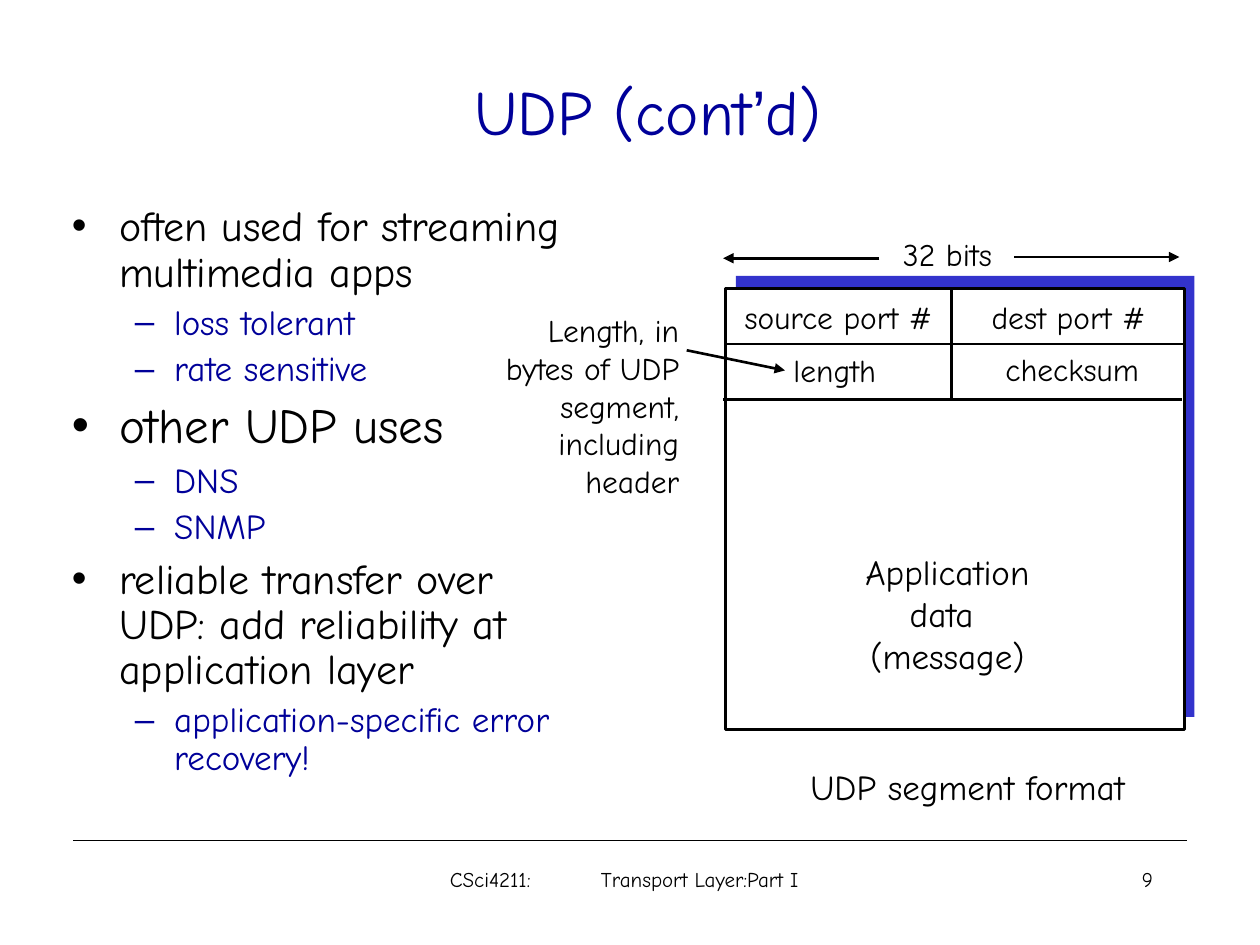
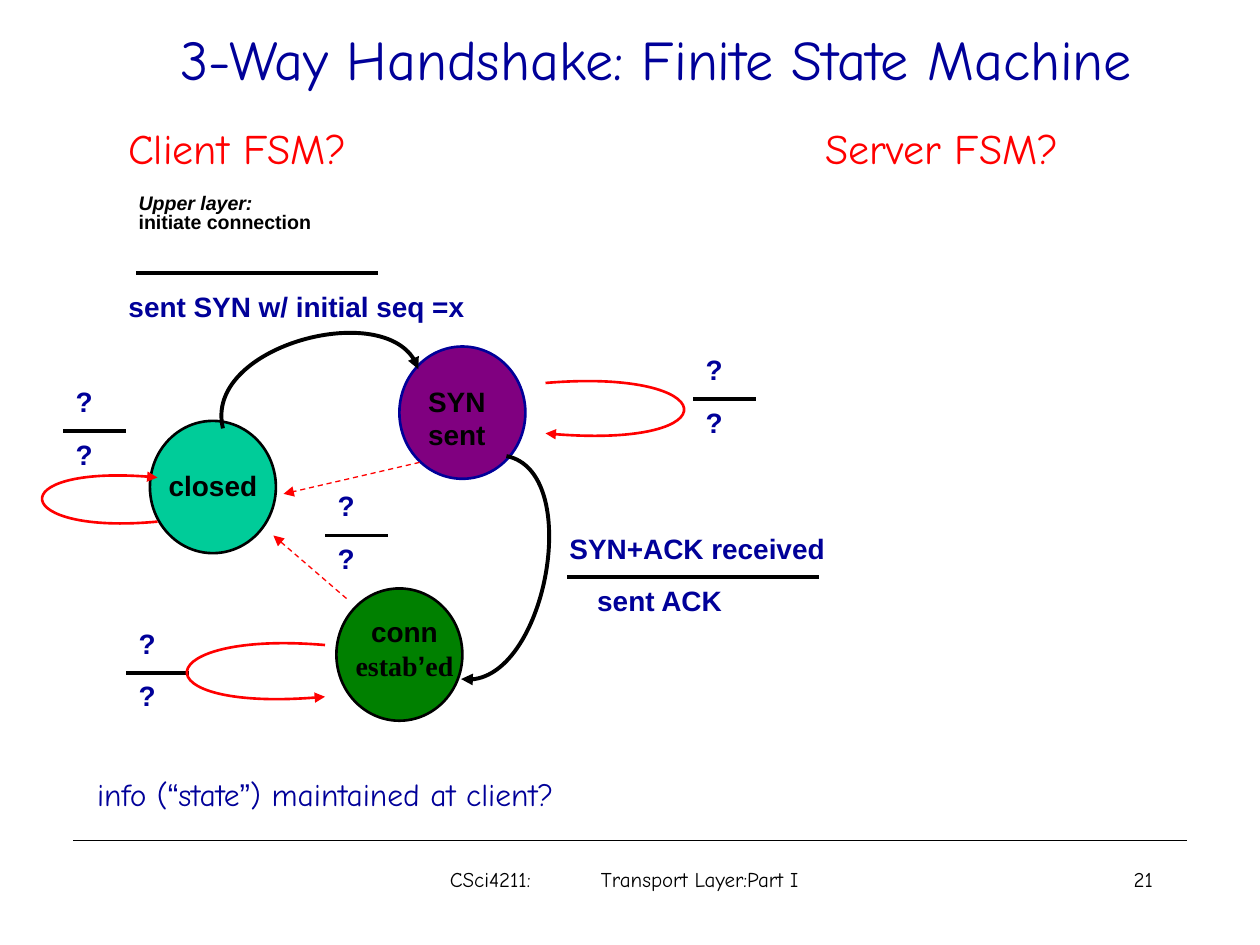
import itertools
import lxml.etree
import pptx
import pptx.dml.color
import pptx.enum.dml
import pptx.enum.shapes
import pptx.enum.text
import pptx.oxml.ns
import pptx.util

Inches = pptx.util.Inches
qn = pptx.oxml.ns.qn
LEFT = pptx.enum.text.PP_ALIGN.LEFT
CENTER = pptx.enum.text.PP_ALIGN.CENTER
RIGHT = pptx.enum.text.PP_ALIGN.RIGHT
OVAL = pptx.enum.shapes.MSO_SHAPE.OVAL
RECTANGLE = pptx.enum.shapes.MSO_SHAPE.RECTANGLE
STRAIGHT = pptx.enum.shapes.MSO_CONNECTOR.STRAIGHT
BLACK, NAVY, RED, WHITE = "000000", "000099", "FF0000", "FFFFFF"
QUOTES = "\u2018\u2019\u201c\u201d"


def color(value):
    return pptx.dml.color.RGBColor.from_string(value)


def write(frame, text, size=18, ink=BLACK, font="Comic Neue", align=LEFT, bold=False,
          italic=False, level=0, before=0, spacing=1.0):
    for line in text.split("\n"):
        paragraph = frame.add_paragraph() if frame.text else frame.paragraphs[0]
        paragraph.alignment = align
        paragraph.level = level
        paragraph.space_before = pptx.util.Pt(before)
        paragraph.line_spacing = spacing
        for is_quote, letters in itertools.groupby(line, lambda letter: letter in QUOTES):
            run = paragraph.add_run()
            run.text = "".join(letters)
            run.font.name = "Arial" if is_quote else font
            run.font.size = pptx.util.Pt(size)
            run.font.bold = bold
            run.font.italic = italic
            run.font.color.rgb = color(ink)


presentation = pptx.Presentation()
presentation.slide_width = Inches(10)
presentation.slide_height = Inches(7.5)
segment_slide = presentation.slides.add_slide(presentation.slide_layouts[1])
state_slide = presentation.slides.add_slide(presentation.slide_layouts[5])

texts = []
lines = []
for slide, title, size, number, box in [
    (segment_slide, "UDP (cont\u2019d)", 36, "9", (0.58, 0.25, 9.12, 1.25)),
    (state_slide, "3-Way Handshake: Finite State Machine", 32, "21", (0.67, 0, 9.08, 0.92)),
]:
    shape = slide.shapes.title
    shape.left, shape.top, shape.width, shape.height = map(Inches, box)
    write(shape.text_frame, title, size=size, ink=NAVY, align=CENTER)
    lines.append((slide, 0.58, 6.67, 9.42, 6.67, BLACK, 0.75, False))
    texts += [
        (slide, 3.57, 6.83, 1.1, "CSci4211:", dict(size=12)),
        (slide, 4.77, 6.83, 1.9, "Transport Layer:Part I", dict(size=12)),
        (slide, 7.17, 6.83, 1.98, number, dict(size=12, align=RIGHT)),
    ]

body = segment_slide.placeholders[1]
body.left, body.top, body.width, body.height = map(Inches, (0.47, 1.58, 4.17, 5.08))
body.text_frame.auto_size = pptx.enum.text.MSO_AUTO_SIZE.NONE
for level, size, text in [
    (0, 24, "often used for streaming multimedia apps"),
    (1, 20, "loss tolerant"),
    (1, 20, "rate sensitive"),
    (0, 28, "other UDP uses"),
    (1, 20, "DNS"),
    (1, 20, "SNMP"),
    (0, 24, "reliable transfer over UDP: add reliability at application layer"),
    (1, 20, "application-specific error recovery!"),
]:
    write(body.text_frame, text, size=size, level=level, ink=NAVY if level else BLACK,
          before=size / 4, spacing=0.9)

for slide, kind, left, top, width, height, fill, outline in [
    (segment_slide, RECTANGLE, 5.84, 2.19, 3.64, 3.5, "3333CC", None),
    (segment_slide, RECTANGLE, 5.76, 2.29, 3.64, 3.5, WHITE, BLACK),
    (state_slide, OVAL, 1.19, 3.34, 1, 1.05, "00CC99", BLACK),
    (state_slide, OVAL, 3.17, 2.75, 1, 1.05, "800080", NAVY),
    (state_slide, OVAL, 2.67, 4.67, 1, 1.05, "008000", BLACK),
]:
    shape = slide.shapes.add_shape(kind, *map(Inches, (left, top, width, height)))
    shape.shadow.inherit = False
    shape.fill.solid()
    shape.fill.fore_color.rgb = color(fill)
    if outline:
        shape.line.color.rgb = color(outline)
        shape.line.width = pptx.util.Pt(1.5)
    else:
        shape.line.fill.background()

centered = dict(align=CENTER)
heading = dict(size=24, ink=RED, align=CENTER)
event = dict(size=16, ink=NAVY, font="Arial", bold=True)
state = dict(size=16, font="Arial", bold=True, align=CENTER)
texts += [
    (segment_slide, 5.81, 2.32, 1.69, "source port #", centered),
    (segment_slide, 7.77, 2.32, 1.42, "dest port #", centered),
    (segment_slide, 6.2, 2.74, 0.85, "length", centered),
    (segment_slide, 7.88, 2.73, 1.26, "checksum", centered),
    (segment_slide, 7.07, 1.82, 0.9, "32 bits", centered),
    (segment_slide, 6.77, 4.32, 1.5, "Application\ndata \n(message)", dict(size=20, align=CENTER)),
    (segment_slide, 6.33, 6.03, 2.7, "UDP segment format", dict(size=20, align=CENTER)),
    (segment_slide, 3.91, 2.42, 1.48, "Length, in\nbytes of UDP\nsegment,\nincluding\nheader",
     dict(align=RIGHT)),
    (state_slide, 0.92, 0.92, 1.93, "Client FSM?", heading),
    (state_slide, 6.45, 0.92, 2.05, "Server FSM?", heading),
    (state_slide, 0.77, 6.1, 4.88, "info (\u201cstate\u201d) maintained at client?", dict(ink=NAVY)),
    (state_slide, 1.02, 2.25, 2.9, "sent SYN w/ initial seq =x", event),
    (state_slide, 4.52, 4.17, 2.3, "SYN+ACK received", event),
    (state_slide, 4.74, 4.58, 1.3, "sent ACK", event),
    (state_slide, 1.08, 3.67, 1.22, "closed", state),
    (state_slide, 3.08, 3, 1.09, "SYN\nsent", state),
    (state_slide, 2.5, 4.83, 1.42, "conn", state),
    (state_slide, 2.5, 5.1, 1.42, "estab\u2019ed", {**state, "font": "Times New Roman"}),
    (state_slide, 1.1, 1.5, 2.05, "Upper layer:",
     dict(size=11.2, font="Arial", bold=True, italic=True, spacing=0.8)),
    (state_slide, 1.1, 1.65, 2.05, "initiate connection",
     dict(size=11.2, font="Arial", bold=True, spacing=0.8)),
]
lines += [
    (segment_slide, 5.76, 2.73, 9.4, 2.73, BLACK, 1.5, False),
    (segment_slide, 5.74, 3.17, 9.38, 3.17, BLACK, 1.5, False),
    (segment_slide, 7.55, 2.29, 7.55, 3.17, BLACK, 1.5, False),
    (segment_slide, 8.05, 2.04, 9.36, 2.04, BLACK, 1.5, True),
    (segment_slide, 6.98, 2.05, 5.74, 2.05, BLACK, 1.5, True),
    (segment_slide, 5.45, 2.78, 6.23, 2.94, BLACK, 1.5, True),
    (state_slide, 1.08, 2.17, 3, 2.17, BLACK, 2.25, False),
    (state_slide, 4.5, 4.58, 6.5, 4.58, BLACK, 2.25, False),
    (state_slide, 3.33, 3.67, 2.25, 3.92, RED, 0.75, True),
    (state_slide, 2.75, 4.75, 2.17, 4.25, RED, 0.75, True),
]
for left, top in [(0.5, 3), (5.5, 2.75), (1, 4.92), (2.58, 3.83)]:
    middle = top + 0.42
    lines.append((state_slide, left, middle, left + 0.5, middle, BLACK, 2.25, False))
    for text_top in (top, middle):
        texts.append((state_slide, left + 0.1, text_top, 0.23, "?", event))

for slide, left, top, width, text, text_format in texts:
    shape = slide.shapes.add_textbox(*map(Inches, (left, top, width, 0.4)))
    frame = shape.text_frame
    frame.word_wrap = True
    frame.margin_left = frame.margin_right = 0
    write(frame, text, **text_format)

strokes = []
for slide, *ends, ink, weight, arrow in lines:
    connector = slide.shapes.add_connector(STRAIGHT, *map(Inches, ends))
    strokes.append((connector, ink, weight, arrow))
    if ink == RED:
        connector.line.dash_style = pptx.enum.dml.MSO_LINE.DASH

for points, ink, weight in [
    ([(1.77, 3.4), (1.61, 2.76), (3.14, 2.34), (3.32, 2.93)], BLACK, 2.25),
    ([(4.02, 3.62), (4.63, 3.74), (4.32, 5.49), (3.66, 5.39)], BLACK, 2.25),
    ([(2.58, 5.12), (1.18, 5), (1.08, 5.67), (2.58, 5.53)], RED, 1.5),
    ([(4.33, 3.04), (5.74, 2.92), (5.83, 3.58), (4.33, 3.44)], RED, 1.5),
    ([(1.25, 4.14), (0.08, 4.25), (0, 3.67), (1.25, 3.79)], RED, 1.5),
]:
    start, *others = [(Inches(x), Inches(y)) for x, y in points]
    builder = state_slide.shapes.build_freeform(*start)
    builder.add_line_segments(others, close=False)
    shape = builder.convert_to_shape()
    shape.fill.background()
    segments = list(shape._element.iter(qn("a:lnTo")))
    curve = lxml.etree.SubElement(segments[0].getparent(), qn("a:cubicBezTo"))
    for segment in segments:
        curve.append(segment[0])
        segment.getparent().remove(segment)
    strokes.append((shape, ink, weight, True))

for shape, ink, weight, arrow in strokes:
    shape.line.color.rgb = color(ink)
    shape.line.width = pptx.util.Pt(weight)
    if arrow:
        lxml.etree.SubElement(shape.line._get_or_add_ln(), qn("a:tailEnd"), type="triangle")
    lxml.etree.SubElement(shape._element.spPr, qn("a:effectLst"))

presentation.save("out.pptx")
